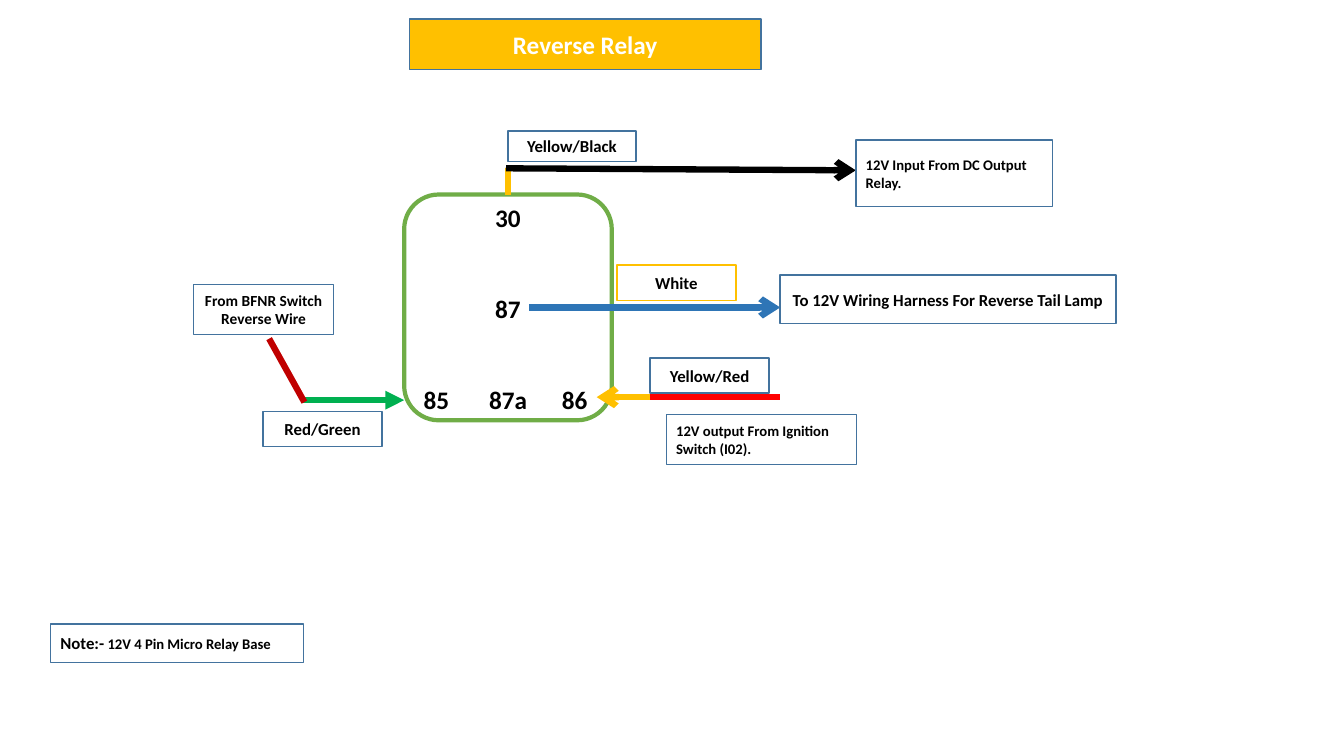
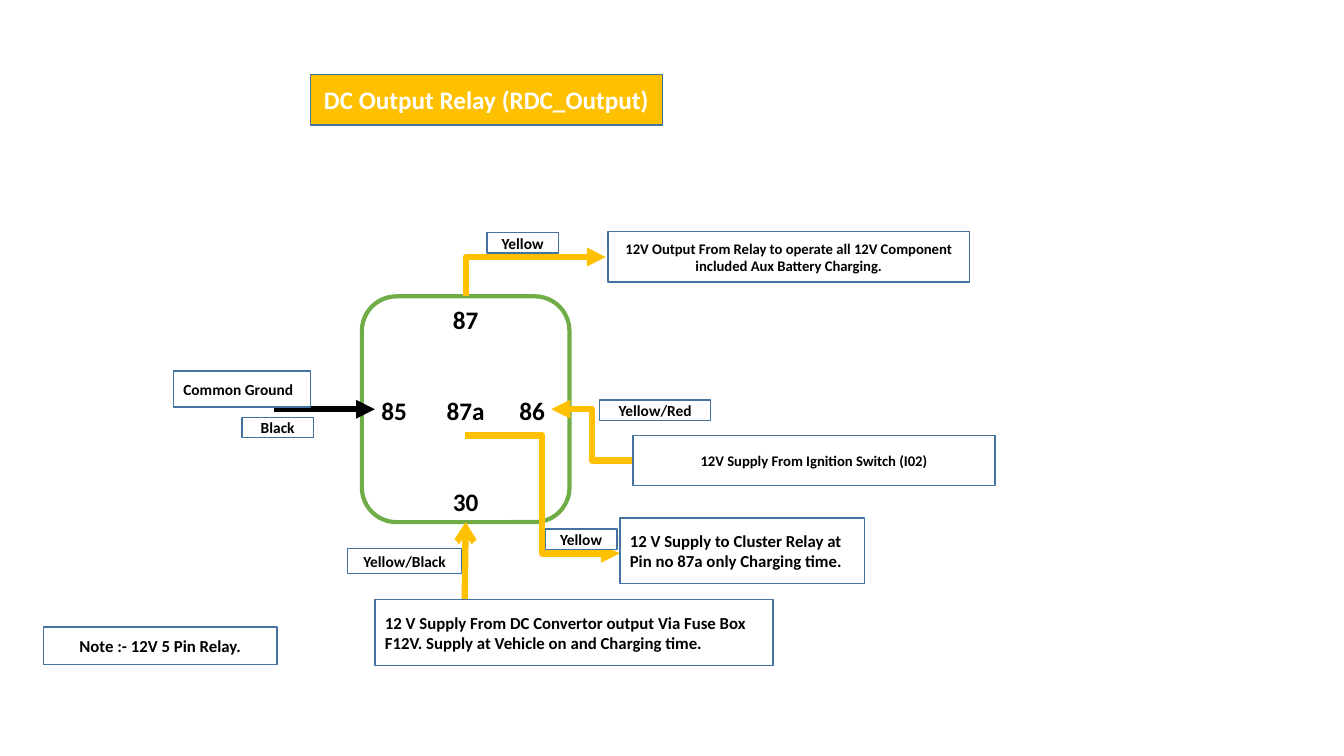
import pptx
import pptx.dml.color
import pptx.enum.shapes
import pptx.enum.text
import pptx.oxml.ns
import pptx.oxml.xmlchemy
import pptx.util

SHAPES = pptx.enum.shapes.MSO_SHAPE
CONNECTORS = pptx.enum.shapes.MSO_CONNECTOR
LEFT = pptx.enum.text.PP_ALIGN.LEFT
CENTER = pptx.enum.text.PP_ALIGN.CENTER

COLUMNS, ROWS = 133.33, 75
CELL = pptx.util.Inches(0.1)

FONT = "Calibri"
BLACK, WHITE = "000000", "FFFFFF"
OUTLINE, RELAY_GREEN = "43739E", "70AD47"
YELLOW, BLUE, GREEN = "FFC000", "2E75B6", "00B050"
RED, DARK_RED = "FF0000", "C00000"

RELAY_SIZE = (20.6, 22.4)
PIN_COLUMNS = (3.2, 10.3, 16.9)
PIN_ROWS = (2.3, 11.3, 20.3)
PIN_SIZE = (8, 4)
TITLE_SIZE = (34.9, 5)


def cells(*counts):
    """Turn counts of grid cells into lengths."""
    return [round(count * CELL) for count in counts]


def color(hex_string):
    """Turn a hex string into a colour."""
    return pptx.dml.color.RGBColor.from_string(hex_string)


def write_text(shape, text, size=12, font_color=BLACK, align=CENTER, detail="", detail_size=10.5):
    """Write bold, vertically centred text, with an optional smaller ending."""
    frame = shape.text_frame
    frame.word_wrap = True
    frame.vertical_anchor = pptx.enum.text.MSO_ANCHOR.MIDDLE
    paragraph = frame.paragraphs[0]
    paragraph.alignment = align
    for content, points in ((text, size), (detail, detail_size)):
        if content:
            run = paragraph.add_run()
            run.text = content
            run.font.name = FONT
            run.font.size = pptx.util.Pt(points)
            run.font.bold = True
            run.font.color.rgb = color(font_color)


def add_box(slide, place, text="", fill=None, line=OUTLINE, width=1, kind=SHAPES.RECTANGLE, **text_format):
    """Add an outlined box, with text if there is any."""
    shape = slide.shapes.add_shape(kind, *cells(*place))
    shape.shadow.inherit = False
    if fill:
        shape.fill.solid()
        shape.fill.fore_color.rgb = color(fill)
    else:
        shape.fill.background()
    shape.line.color.rgb = color(line)
    shape.line.width = pptx.util.Pt(width)
    if text:
        write_text(shape, text, **text_format)
    return shape


def add_title(slide, left, top, text):
    """Add the yellow title band."""
    add_box(slide, (left, top, *TITLE_SIZE), text, fill=YELLOW, size=18, font_color=WHITE)


def add_relay(slide, left, top, pins):
    """Add a relay with its pins, each named with its column and row."""
    relay = add_box(slide, (left, top, *RELAY_SIZE), fill=WHITE, line=RELAY_GREEN, width=3,
                    kind=SHAPES.ROUNDED_RECTANGLE)
    width, height = PIN_SIZE
    for name, column, row in pins:
        pin_left = left + PIN_COLUMNS[column] - width / 2
        pin_top = top + PIN_ROWS[row] - height / 2
        pin = slide.shapes.add_textbox(*cells(pin_left, pin_top, width, height))
        write_text(pin, name, size=18)
    return relay


def add_wire(slide, start, end, line, arrow=None, arrow_end="tailEnd", kind=CONNECTORS.STRAIGHT):
    """Add a thick wire with an optional arrowhead."""
    wire = slide.shapes.add_connector(kind, *cells(*start, *end))
    wire.line.color.rgb = color(line)
    wire.line.width = pptx.util.Pt(4.5)
    if arrow:
        head = pptx.oxml.xmlchemy.OxmlElement(f"a:{arrow_end}")
        head.set("type", arrow)
        wire.line._get_or_add_ln().append(head)
    wire._element.spPr.append(pptx.oxml.xmlchemy.OxmlElement("a:effectLst"))
    return wire


def add_corner_wire(slide, arrow_point, end, line):
    """Add a wire with one corner and its arrowhead at the level end."""
    wire = add_wire(slide, arrow_point, end, line, "triangle", "headEnd", CONNECTORS.ELBOW)
    geometry = wire._element.spPr.find(pptx.oxml.ns.qn("a:prstGeom"))
    geometry.set("prst", "bentConnector2")


def build_reverse_relay(slide):
    """Draw the wiring of the reverse relay."""
    add_title(slide, 40.6, 1.9, "Reverse Relay")
    relay = add_relay(slide, 40.1, 19.3, [
        ("30", 1, 0), ("87", 1, 1), ("85", 0, 2), ("87a", 1, 2), ("86", 2, 2)])

    stub = add_wire(slide, (50.4, 19.3), (50.4, 16.7), YELLOW)
    stub.begin_connect(relay, 0)
    for start, end, line, arrow in (
        ((52.5, 30.5), (77.4, 30.5), BLUE, "arrow"),
        ((50.2, 16.7), (84.9, 16.9), BLACK, "arrow"),
        ((30.1, 39.7), (40.1, 39.7), GREEN, "triangle"),
        ((64.7, 39.4), (59.2, 39.4), YELLOW, "arrow"),
        ((64.5, 39.4), (77.4, 39.4), RED, None),
        ((30.2, 39.9), (26.7, 33.6), DARK_RED, None),
    ):
        add_wire(slide, start, end, line, arrow)

    for left, top, text, line in (
        (64.5, 35.5, "Yellow/Red", OUTLINE),
        (61.2, 26.3, "White", YELLOW),
        (26.1, 40.8, "Red/Green", OUTLINE),
    ):
        add_box(slide, (left, top, 11.8, 3.5), text, fill=WHITE, line=line)
    add_box(slide, (50.4, 13, 12.7, 3), "Yellow/Black", fill=WHITE)

    add_box(slide, (19.2, 28.2, 13.9, 5), "From BFNR Switch Reverse Wire", size=11)
    add_box(slide, (84.9, 13.9, 19.5, 6.6), "12V Input From DC Output Relay.", size=10.5, align=LEFT)
    add_box(slide, (66.1, 41.1, 18.9, 5), "12V output From Ignition Switch (I02).", size=10.5, align=LEFT)
    add_box(slide, (77.4, 27.3, 33.3, 4.8), "To 12V Wiring Harness For Reverse Tail Lamp", fill=WHITE)
    add_box(slide, (5, 61.9, 25.1, 3.8), "Note:-", align=LEFT, detail=" 12V 4 Pin Micro Relay Base")


def build_output_relay(slide):
    """Draw the wiring of the DC output relay."""
    add_title(slide, 30.8, 7.4, "DC Output Relay (RDC_Output)")
    relay = add_relay(slide, 35.9, 29.4, [
        ("87", 1, 0), ("85", 0, 1), ("87a", 1, 1), ("86", 2, 1), ("30", 1, 2)])

    supply = add_wire(slide, (46.1, 59.5), (46.2, 51.8), YELLOW, "arrow")
    supply.end_connect(relay, 2)
    add_wire(slide, (27.2, 40.6), (37.2, 40.6), BLACK, "triangle")
    for start, end in (((62.8, 45.7), (54.7, 40.6)), ((46.1, 43.2), (61.5, 54.9))):
        add_wire(slide, start, end, YELLOW, "triangle", kind=CONNECTORS.ELBOW)
    add_corner_wire(slide, (60.1, 25.5), (46.2, 29.4), YELLOW)

    for left, top, width, height, text in (
        (59.5, 39.7, 11, 2, "Yellow/Red"),
        (54.1, 52.5, 7.1, 2, "Yellow"),
        (48.3, 23.1, 7.1, 2, "Yellow"),
        (24, 41.4, 7.1, 2, "Black"),
        (34.5, 54.4, 11.3, 2.5, "Yellow/Black"),
    ):
        add_box(slide, (left, top, width, height), text, fill=WHITE, size=11)

    add_box(slide, (17.2, 36.8, 13.6, 3.6), "Common Ground", size=11, align=LEFT)
    add_box(slide, (62.8, 43.2, 35.9, 5), "12V Supply From Ignition Switch (I02)", size=10.5)
    add_box(slide, (60.3, 23, 35.9, 5),
            "12V Output From Relay to operate all 12V Component included Aux Battery Charging.", size=10.5)
    add_box(slide, (37.2, 59.5, 39.5, 6.5),
            "12 V Supply From DC Convertor output Via Fuse Box F12V. Supply at Vehicle on and Charging time.",
            fill=WHITE, align=LEFT)
    add_box(slide, (61.5, 51.4, 24.3, 6.5),
            "12 V Supply to Cluster Relay at Pin no 87a only Charging time.", fill=WHITE, align=LEFT)
    add_box(slide, (4.3, 62.2, 23.2, 3.7), "Note :- 12V 5 Pin Relay.")


def main():
    """Build and save the presentation."""
    presentation = pptx.Presentation()
    presentation.slide_width, presentation.slide_height = cells(COLUMNS, ROWS)
    for build in (build_reverse_relay, build_output_relay):
        build(presentation.slides.add_slide(presentation.slide_layouts[6]))
    presentation.save("out.pptx")


if __name__ == "__main__":
    main()
